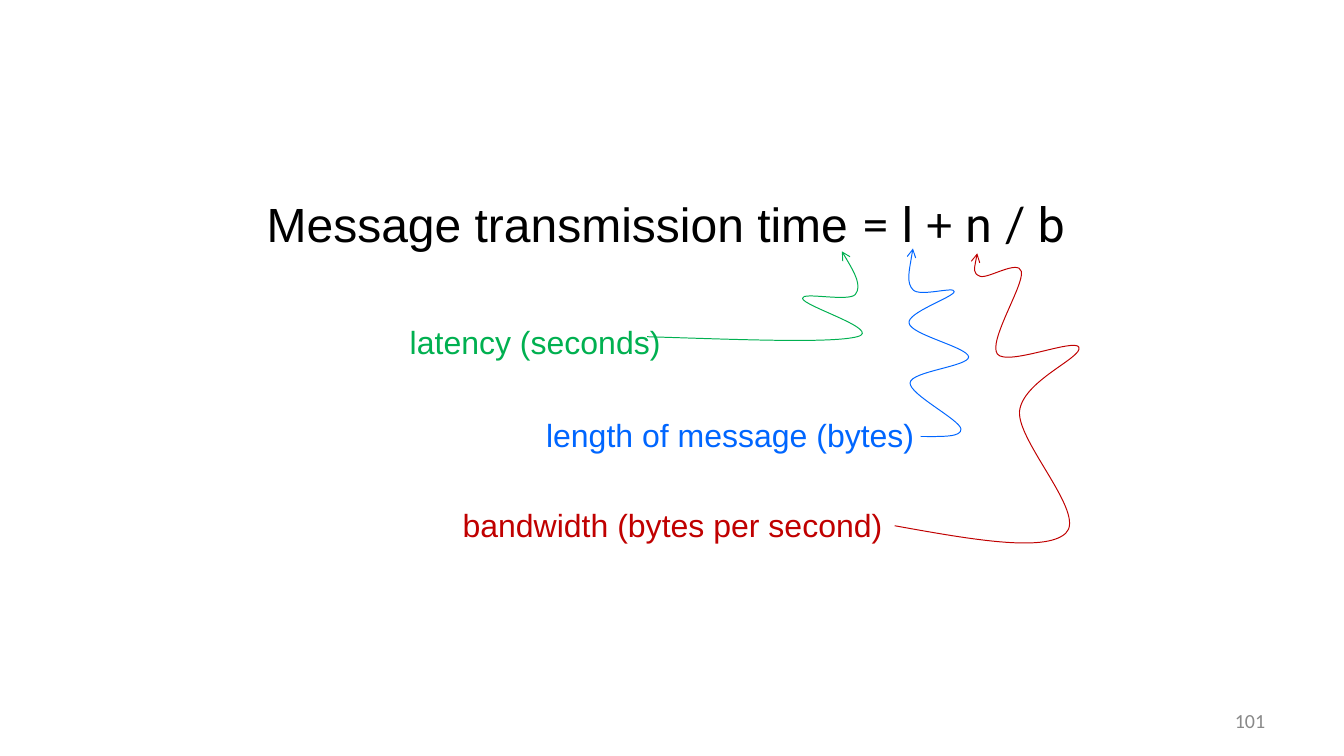
from lxml.etree import SubElement
from pptx import Presentation
from pptx.dml.color import RGBColor
from pptx.enum.text import MSO_ANCHOR, PP_ALIGN
from pptx.oxml.ns import qn
from pptx.util import Inches, Pt

BLACK = RGBColor(0x00, 0x00, 0x00)
GRAY = RGBColor(0x89, 0x89, 0x89)
GREEN = RGBColor(0x00, 0xB0, 0x50)
BLUE = RGBColor(0x00, 0x66, 0xFF)
RED = RGBColor(0xC0, 0x00, 0x00)

FORMULA = [("Message transmission time ", "Arial"), ("= ", "Lato"), ("l ", "Roboto"),
           ("+ ", "Lato"), ("n ", "Roboto"), ("/ ", "Lato"), ("b", "Roboto")]

# Each pointer is a start point, then Bezier triples (control, control, end),
# all in inches from the top left corner of its label.
TERMS = [
    ("latency (seconds)", GREEN, (4.17, 3.31, 2.84, 0.51), [
        (2.57, 0.20),
        (3.53, 0.23), (4.49, 0.27), (4.76, 0.20),
        (5.03, 0.13), (4.19, -0.12), (4.19, -0.20),
        (4.18, -0.27), (4.67, -0.16), (4.74, -0.24),
        (4.81, -0.33), (4.71, -0.51), (4.60, -0.69)]),
    ("bandwidth (bytes per second)", RED, (4.72, 5.22, 4.62, 0.51), [
        (4.60, 0.26),
        (5.38, 0.40), (6.16, 0.54), (6.38, 0.34),
        (6.60, 0.14), (5.88, -0.61), (5.90, -0.93),
        (5.93, -1.25), (6.56, -1.49), (6.52, -1.60),
        (6.48, -1.70), (5.77, -1.40), (5.67, -1.53),
        (5.57, -1.66), (5.95, -2.25), (5.92, -2.39),
        (5.89, -2.52), (5.57, -2.31), (5.49, -2.34),
        (5.41, -2.37), (5.44, -2.48), (5.46, -2.58)]),
    ("length of message (bytes)", BLUE, (5.59, 4.28, 4.04, 0.51), [
        (4.00, 0.27),
        (4.22, 0.27), (4.43, 0.28), (4.42, 0.19),
        (4.40, 0.09), (3.88, -0.17), (3.89, -0.29),
        (3.90, -0.41), (4.50, -0.46), (4.50, -0.56),
        (4.49, -0.66), (3.90, -0.79), (3.88, -0.91),
        (3.85, -1.02), (4.34, -1.18), (4.35, -1.24),
        (4.36, -1.30), (3.99, -1.18), (3.92, -1.26),
        (3.85, -1.33), (3.89, -1.51), (3.92, -1.69)]),
]


def add_text(slide, box, runs, size, color, align=PP_ALIGN.LEFT, **frame_format):
    """Add one paragraph made of (text, font name) runs."""
    frame = slide.shapes.add_textbox(*map(Inches, box)).text_frame
    for name, value in frame_format.items():
        setattr(frame, name, value)
    paragraph = frame.paragraphs[0]
    paragraph.alignment = align
    for text, font_name in runs:
        run = paragraph.add_run()
        run.text = text
        for name, value in {"name": font_name, "size": Pt(size)}.items():
            setattr(run.font, name, value)
        run.font.color.rgb = color


def bend_segments(shape):
    """Turn every three straight segments of a freeform into one Bezier curve."""
    outline = next(shape._element.iter(qn("a:pathLst")))[0]
    segments = outline.findall(qn("a:lnTo"))
    for first in range(0, len(segments), 3):
        curve = SubElement(outline, qn("a:cubicBezTo"))
        for segment in segments[first:first + 3]:
            curve.append(segment[0])
            outline.remove(segment)


def add_pointer(slide, box, points, color):
    left, top = box[:2]
    outline = [(Inches(left + x), Inches(top + y)) for x, y in points]
    builder = slide.shapes.build_freeform(*outline[0])
    builder.add_line_segments(outline[1:], close=False)
    shape = builder.convert_to_shape()
    bend_segments(shape)
    shape.shadow.inherit = False
    shape.fill.background()
    shape.line.color.rgb = color
    shape.line.width = Pt(0.75)
    SubElement(shape.line._get_or_add_ln(), qn("a:tailEnd"), type="arrow")


def main():
    presentation = Presentation()
    presentation.slide_width = Inches(14)
    presentation.slide_height = Inches(7.88)
    slide = presentation.slides.add_slide(presentation.slide_layouts[6])

    add_text(slide, (10.03, 7.3, 3.27, 0.42), [("101", "Calibri")], 15, GRAY, PP_ALIGN.RIGHT,
             word_wrap=True, vertical_anchor=MSO_ANCHOR.MIDDLE,
             margin_left=Inches(0.12), margin_right=Inches(0.12),
             margin_top=Inches(0.06), margin_bottom=Inches(0.06))
    add_text(slide, (2.68, 1.98, 10.9, 0.71), FORMULA, 36, BLACK, word_wrap=True)
    for text, color, box, _ in TERMS:
        add_text(slide, box, [(text, "Arial")], 24, color, word_wrap=False)
    for _, color, box, points in sorted(TERMS, key=lambda term: term[2][1]):
        add_pointer(slide, box, points, color)

    presentation.save("out.pptx")


if __name__ == "__main__":
    main()
